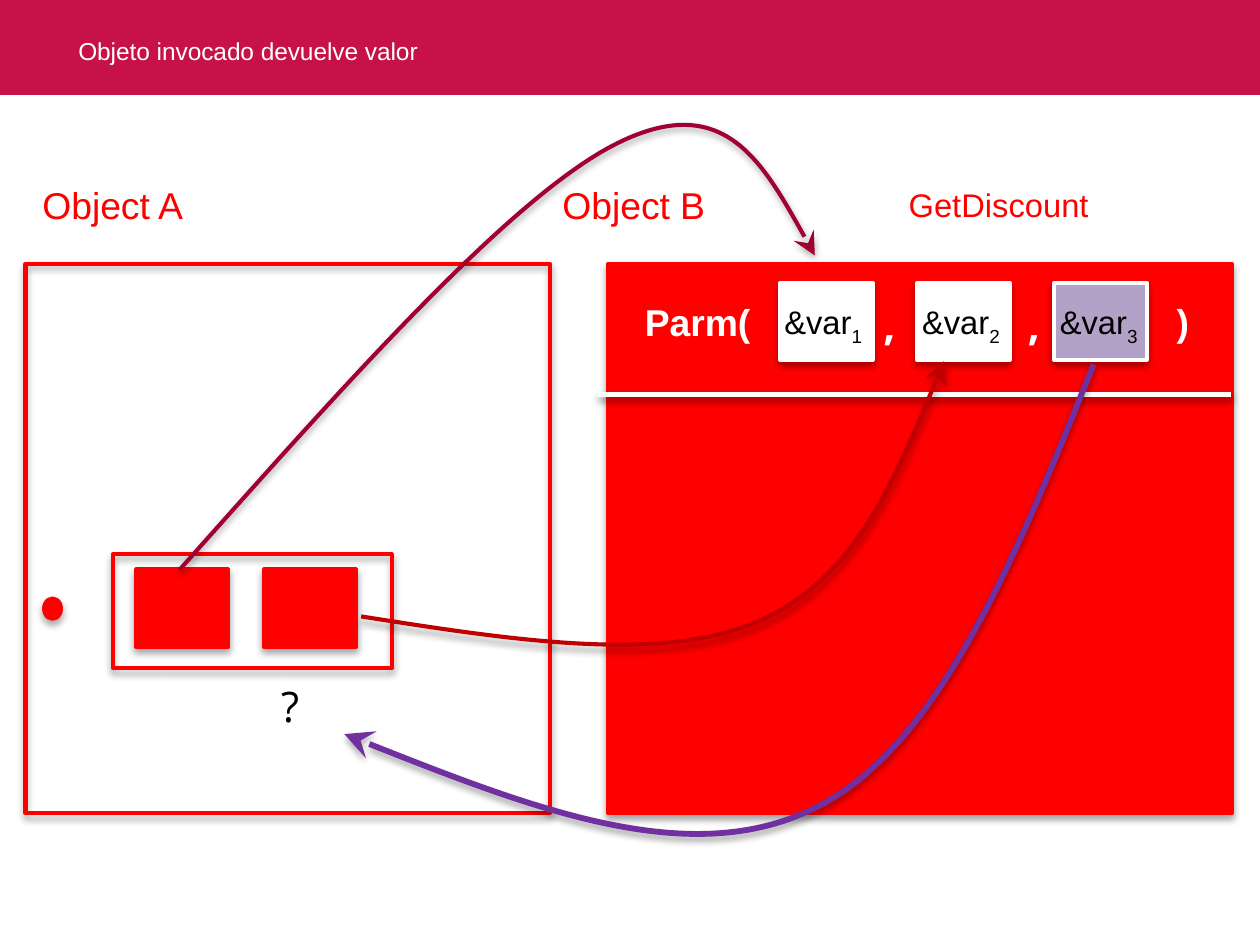
"""Builds a slide on how an invoked object returns a value through its parameters."""
from pptx import Presentation, util as u
from pptx.dml.color import RGBColor
from pptx.enum import shapes as kinds, text as txt
from pptx.oxml import parse_xml
from pptx.oxml.ns import nsdecls, qn

CELL = u.Inches(0.01)
COLUMNS, ROWS = 750, 562.5
COLORS = {"band": "C61247", "red": "FF0000", "white": "FFFFFF", "black": "000000",
          "lilac": "B3A2C7", "wine": "A00032", "brick": "C00000", "violet": "7030A0"}
RECT, OVAL = kinds.MSO_SHAPE.RECTANGLE, kinds.MSO_SHAPE.OVAL

TITLE = "Objeto invocado devuelve valor"
BAND = (0, 0, COLUMNS, 56.5)
SLOT_W, SLOT_H = 55, 46
PARAM_LEFT, PARAM_TOP, PARAM_STEP = 464.5, 168.3, 81.5
NAME_LEFT, NAME_TOP, NAME_STEP = 457, 175, 82
PARAM_FILLS = ["white", "white", "lilac"]
ARGUMENT_LEFT, ARGUMENT_TOP, ARGUMENT_STEP = 81, 339, 76

PANELS = [
    (RECT, (15.2, 157, 312.3, 327), None),
    (RECT, (362, 157, 371.3, 327), "red"),
    (OVAL, (26.3, 356.3, 10, 12), "red"),
    (RECT, (67.3, 330, 166, 67.7), None),
]
SIGNATURE = [
    ("Parm(", (374, 173, 84, 37), dict(size=16)),
    (",", (516, 172.6, 27, 40), dict(size=18, font="Open Sans")),
    (",", (602, 172.6, 27, 40), dict(size=18, font="Open Sans")),
    (")", (690.6, 173, 28, 37), dict(size=16)),
]
LABELS = [
    ("?", (157.6, 400, 34, 40), dict(size=18, font="Open Sans", color="black")),
    ("Object A", (15.4, 103.4, 105, 37), dict(size=16)),
    ("Object B", (325, 103.4, 106, 37), dict(size=16)),
    ("GetDiscount", (531, 105, 128, 34), dict(size=14)),
]
FLOWS = [
    ("wine", 1.75, [(107, 339), (206, 228), (305, 116), (368, 85),
                    (431, 54), (458, 103), (485, 152)]),
    ("brick", 1.75, [(215, 367), (304, 381), (394, 395), (451, 370),
                     (509, 345), (535, 280), (562, 215)]),
    ("violet", 2.5, [(651, 217), (605, 331), (559, 445), (485, 481),
                     (411, 518), (308, 478), (205, 437)]),
]


def rgb(name):
    return RGBColor.from_string(COLORS[name])


def cells(box):
    return [round(n * CELL) for n in box]


def outline(part, color, width, alpha=35, distance=1.8):
    part.line.color.rgb = rgb(color)
    part.line.width = u.Pt(width)
    part._element.spPr.append(parse_xml(
        f'<a:effectLst {nsdecls("a")}><a:outerShdw blurRad="{u.Pt(3.1)}" '
        f'dist="{u.Pt(distance)}" dir="5400000" rotWithShape="0"><a:srgbClr val="000000">'
        f'<a:alpha val="{alpha * 1000}"/></a:srgbClr></a:outerShdw></a:effectLst>'))


def add_block(slide, kind, box, fill, edge="red"):
    block = slide.shapes.add_shape(kind, *cells(box))
    if fill:
        block.fill.solid()
        block.fill.fore_color.rgb = rgb(fill)
    else:
        block.fill.background()
    outline(block, edge, 1.75)


def write(frame, words, size=14, font="Arial", color="white", bold=False, subscript=""):
    line = frame.paragraphs[0]
    line.alignment = txt.PP_ALIGN.LEFT
    for piece in filter(None, (words, subscript)):
        run = line.add_run()
        run.text = piece
        run.font.size, run.font.name, run.font.bold = u.Pt(size), font, bold
        run.font.color.rgb = rgb(color)
    if subscript:
        run.font._element.set("baseline", "-25000")


def add_label(slide, words, box, **style):
    frame = slide.shapes.add_textbox(*cells(box)).text_frame
    frame.word_wrap = False
    frame.auto_size = txt.MSO_AUTO_SIZE.SHAPE_TO_FIT_TEXT
    write(frame, words, **style)


def add_flow(slide, color, width, points):
    builder = slide.shapes.build_freeform(*points[0], scale=CELL)
    builder.add_line_segments(points[1:], close=False)
    flow = builder.convert_to_shape()
    flow.fill.background()
    outline(flow, color, width)
    legs = list(flow._element.iter(qn("a:lnTo")))
    for first in range(0, len(legs), 3):
        curve = parse_xml(f'<a:cubicBezTo {nsdecls("a")}/>')
        legs[first].addprevious(curve)
        for leg in legs[first:first + 3]:
            curve.append(leg[0])
            leg.getparent().remove(leg)
    flow.line._get_or_add_ln().append(
        parse_xml(f'<a:tailEnd {nsdecls("a")} type="stealth" w="lg" len="lg"/>'))


def add_heading(slide):
    band = slide.shapes.add_shape(RECT, *cells(BAND))
    band.shadow.inherit = False
    band.fill.solid()
    band.fill.fore_color.rgb = rgb("band")
    band.line.fill.background()
    title = slide.shapes.title
    title._element.addprevious(band._element)
    title.left, title.top, title.width, title.height = cells((36.6, 16.4, 237, 36))
    frame = title.text_frame
    frame.word_wrap = True
    frame.auto_size = txt.MSO_AUTO_SIZE.NONE
    frame.vertical_anchor = txt.MSO_ANCHOR.TOP
    write(frame, TITLE, size=10.5)


def main():
    deck = Presentation()
    deck.slide_width, deck.slide_height = cells((COLUMNS, ROWS))
    slide = deck.slides.add_slide(deck.slide_layouts[5])
    add_heading(slide)
    for panel in PANELS:
        add_block(slide, *panel)
    for i in range(2):
        add_block(slide, RECT, (ARGUMENT_LEFT + i * ARGUMENT_STEP, ARGUMENT_TOP,
                                SLOT_W, SLOT_H), "red")
    for i, fill in enumerate(PARAM_FILLS):
        add_block(slide, RECT, (PARAM_LEFT + i * PARAM_STEP, PARAM_TOP,
                                SLOT_W, SLOT_H), fill, edge="white")
        add_label(slide, "&var", (NAME_LEFT + i * NAME_STEP, NAME_TOP, 68, 34),
                  color="black", subscript=str(i + 1))
    divider = slide.shapes.add_connector(kinds.MSO_CONNECTOR.STRAIGHT,
                                         *cells((356, 235, 733, 235)))
    outline(divider, "white", 2, alpha=38, distance=1.6)
    for words, box, style in SIGNATURE:
        add_label(slide, words, box, bold=True, **style)
    for flow in FLOWS:
        add_flow(slide, *flow)
    for words, box, style in LABELS:
        add_label(slide, words, box, **{"color": "red", **style})
    deck.save("out.pptx")


if __name__ == "__main__":
    main()
